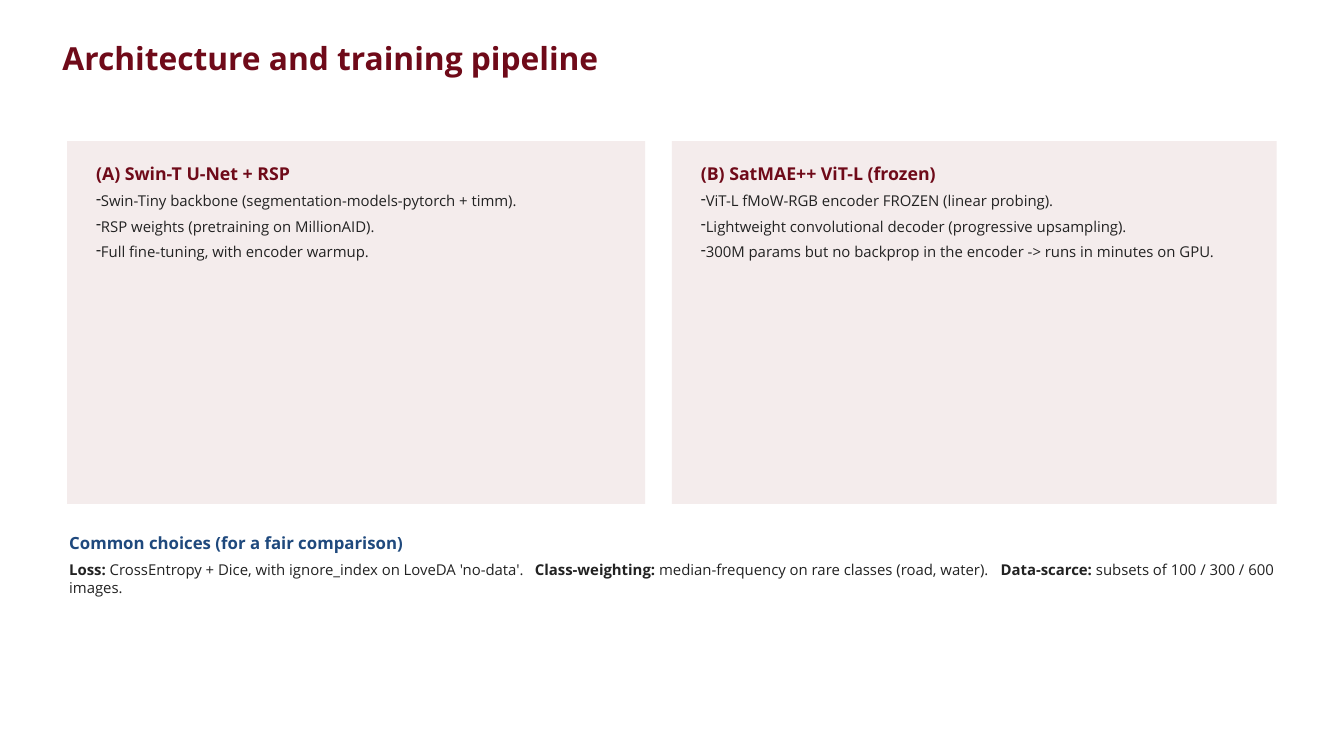
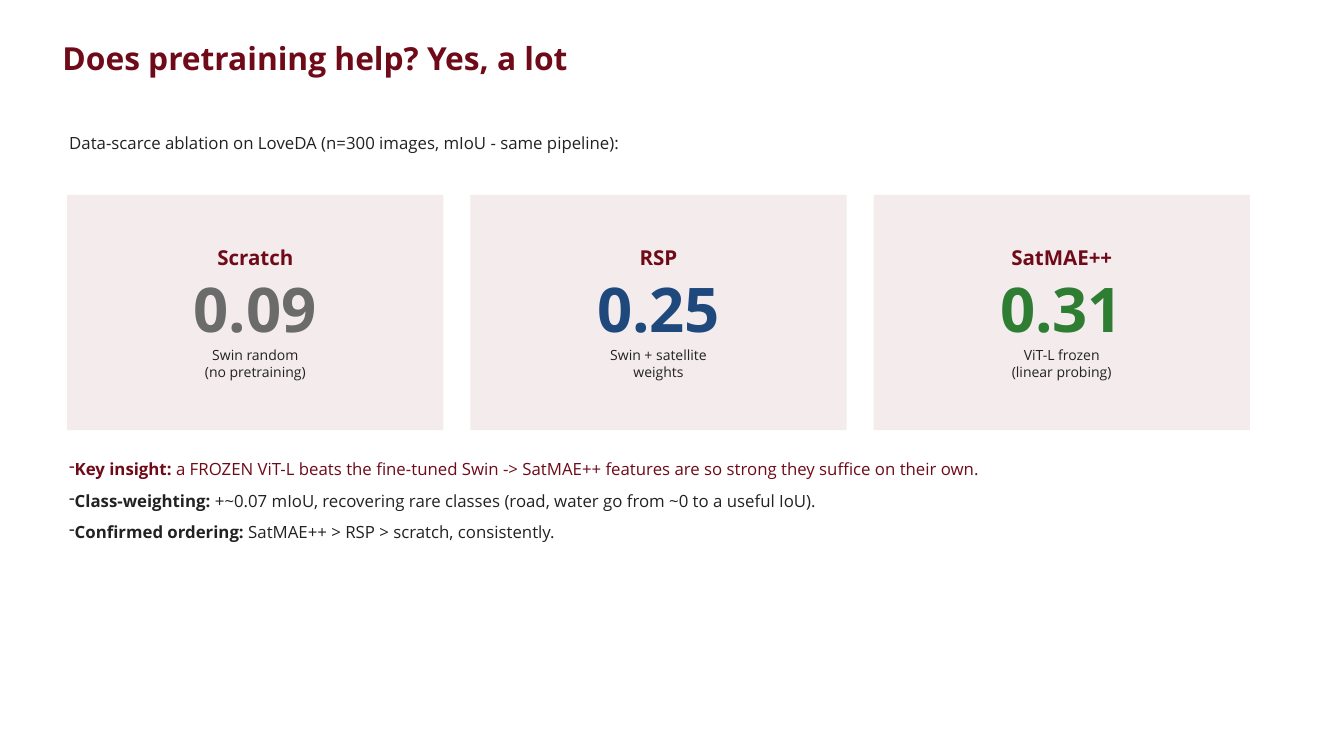
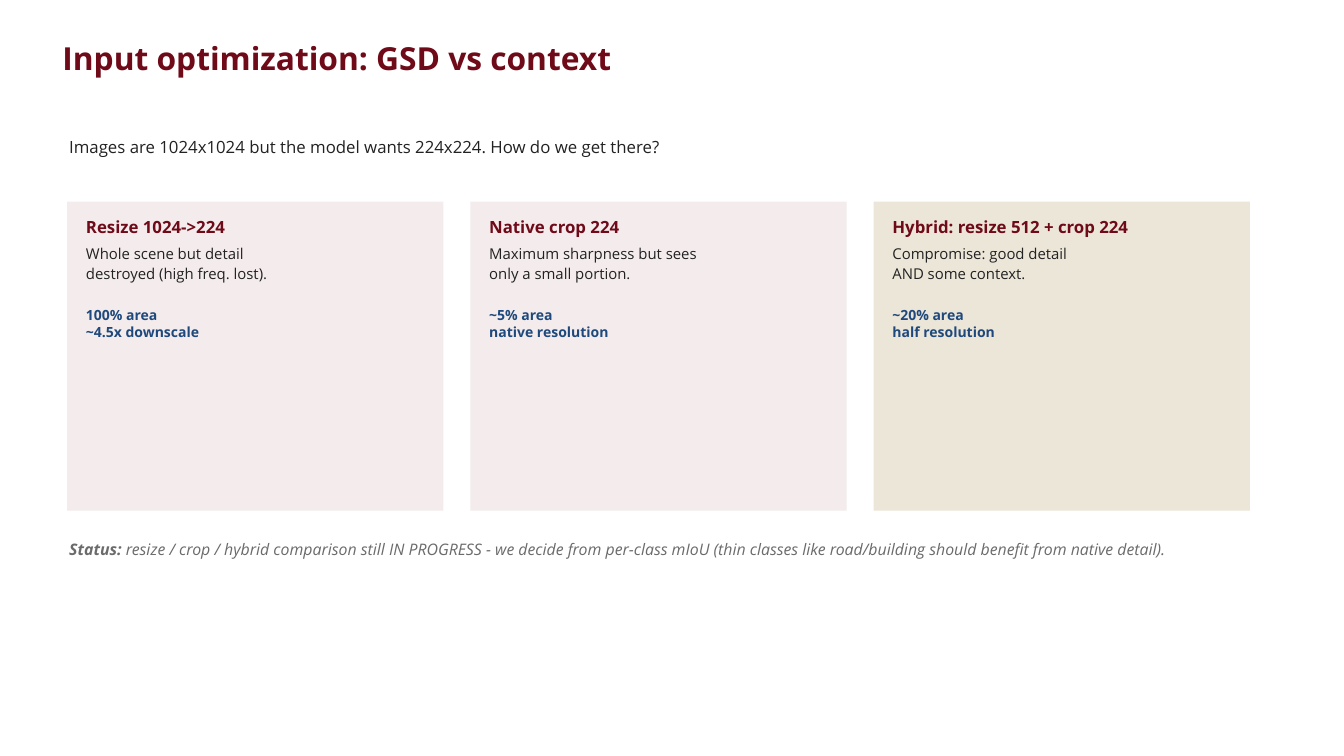
"""Build three slides on pretrained encoders for land-cover segmentation."""
from lxml import etree
from pptx import Presentation
from pptx.dml.color import RGBColor
from pptx.enum.shapes import MSO_SHAPE
from pptx.enum.text import MSO_ANCHOR, MSO_AUTO_SIZE, PP_ALIGN
from pptx.oxml.ns import qn
from pptx.util import Pt

PX = 9144
FONT = "Open Sans"
WINE = RGBColor(0x6F, 0x0A, 0x19)
BLUE = RGBColor(0x1F, 0x49, 0x7D)
GREEN = RGBColor(0x2E, 0x7D, 0x32)
GREY = RGBColor(0x6B, 0x6B, 0x6B)
INK = RGBColor(0x22, 0x22, 0x22)
ROSE = RGBColor(0xF4, 0xEC, 0xEC)
SAND = RGBColor(0xEC, 0xE6, 0xD9)
RECT = MSO_SHAPE.RECTANGLE
MIDDLE, TOP = MSO_ANCHOR.MIDDLE, MSO_ANCHOR.TOP
LEFT, CENTER = PP_ALIGN.LEFT, PP_ALIGN.CENTER
GROW = MSO_AUTO_SIZE.SHAPE_TO_FIT_TEXT
LEFTS = (100, 700, 1300)


def box(slide, x, y, w, h, fill=None, anchor=TOP):
    area = [n * PX for n in (x, y, w, h)]
    if fill is not None:
        card = slide.shapes.add_shape(RECT, *area)
        card.shadow.inherit = False
        card.fill.solid()
        card.fill.fore_color.rgb = fill
        card.line.fill.background()
        return card
    frame = slide.shapes.add_textbox(*area).text_frame
    frame.word_wrap = True
    frame.auto_size = GROW
    frame.vertical_anchor = anchor
    frame.margin_left = frame.margin_right = 3 * PX
    frame.margin_top = frame.margin_bottom = 3 * PX
    return frame


def write(frame, text, size=16, color=INK, bold=False, italic=False,
          after=0, align=LEFT, dash=False, tabs=()):
    """Add a paragraph; parts between bars are bold."""
    para = frame.paragraphs[0]
    if para.runs:
        para = frame.add_paragraph()
    props = para._p.get_or_add_pPr()
    if dash:
        etree.SubElement(props, qn("a:buChar"), char="-")
    if tabs:
        stops = etree.SubElement(props, qn("a:tabLst"))
        for stop in tabs:
            etree.SubElement(stops, qn("a:tab"), pos=str(stop * PX), algn="l")
    para.alignment = align
    para.space_after = Pt(after)
    for i, part in enumerate(text.split("|")):
        if part:
            run = para.add_run()
            run.text = part
            font = run.font
            font.name, font.size = FONT, Pt(size)
            font.bold, font.italic = bold or i % 2 == 1, italic
            font.color.rgb = color


deck = Presentation()
deck.slide_width, deck.slide_height = 2000 * PX, 1125 * PX
slides = []
for title in ("Architecture and training pipeline",
              "Does pretraining help? Yes, a lot",
              "Input optimization: GSD vs context"):
    slide = deck.slides.add_slide(deck.slide_layouts[6])
    write(box(slide, 90, 55, 1820, 130), title, size=34, color=WINE, bold=True)
    slides.append(slide)
design, result, inputs = slides

models = (
    (100, 860, 790, "(A) Swin-T U-Net + RSP",
     ("Swin-Tiny backbone (segmentation-models-pytorch + timm).",
      "RSP weights (pretraining on MillionAID).",
      "Full fine-tuning, with encoder warmup.")),
    (1000, 900, 830, "(B) SatMAE++ ViT-L (frozen)",
     ("ViT-L fMoW-RGB encoder FROZEN (linear probing).",
      "Lightweight convolutional decoder (progressive upsampling).",
      "300M params but no backprop in the encoder -> runs in minutes on GPU.")),
)
for x, wide, inner, name, points in models:
    box(design, x, 210, wide, 540, fill=ROSE)
    frame = box(design, x + 40, 240, inner, 490)
    write(frame, name, size=19, color=WINE, bold=True, after=8)
    for point in points:
        write(frame, point, after=8, dash=True)
frame = box(design, 100, 790, 1800, 260)
write(frame, "Common choices (for a fair comparison)",
      size=18, color=BLUE, bold=True, after=8)
write(frame, "|Loss: |CrossEntropy + Dice, with ignore_index on LoveDA 'no-data'.\t"
      "|Class-weighting: |median-frequency on rare classes (road, water).\t"
      "|Data-scarce: |subsets of 100 / 300 / 600 images.", tabs=(693, 1386))

write(box(result, 100, 195, 1800, 70),
      "Data-scarce ablation on LoveDA (n=300 images, mIoU - same pipeline):", size=18)
scores = (
    ("Scratch", "0.09", GREY, ("Swin random", "(no pretraining)")),
    ("RSP", "0.25", BLUE, ("Swin + satellite", "weights")),
    ("SatMAE++", "0.31", GREEN, ("ViT-L frozen", "(linear probing)")),
)
for x, (name, score, color, notes) in zip(LEFTS, scores):
    box(result, x, 290, 560, 350, fill=ROSE)
    frame = box(result, x + 20, 305, 520, 320, anchor=MIDDLE)
    write(frame, name, size=22, color=WINE, bold=True, after=2, align=CENTER)
    write(frame, score, size=66, color=color, bold=True, after=2, align=CENTER)
    for note in notes:
        write(frame, note, size=15, align=CENTER)
frame = box(result, 100, 680, 1800, 360)
for text, color in (
    ("|Key insight: |a FROZEN ViT-L beats the fine-tuned Swin -> "
     "SatMAE++ features are so strong they suffice on their own.", WINE),
    ("|Class-weighting: |+~0.07 mIoU, recovering rare classes "
     "(road, water go from ~0 to a useful IoU).", INK),
    ("|Confirmed ordering: |SatMAE++ > RSP > scratch, consistently.", INK),
):
    write(frame, text, size=18, color=color, after=12, dash=True)

write(box(inputs, 100, 200, 1800, 70),
      "Images are 1024x1024 but the model wants 224x224. How do we get there?", size=18)
crops = (
    (ROSE, "Resize 1024->224", "Whole scene but detail",
     "destroyed (high freq. lost).", ("100% area", "~4.5x downscale")),
    (ROSE, "Native crop 224", "Maximum sharpness but sees",
     "only a small portion.", ("~5% area", "native resolution")),
    (SAND, "Hybrid: resize 512 + crop 224", "Compromise: good detail",
     "AND some context.", ("~20% area", "half resolution")),
)
for x, (fill, name, first, second, facts) in zip(LEFTS, crops):
    box(inputs, x, 300, 560, 460, fill=fill)
    frame = box(inputs, x + 25, 320, 510, 420)
    write(frame, name, size=18, color=WINE, bold=True, after=8)
    write(frame, first, after=2)
    write(frame, second, after=26)
    for fact in facts:
        write(frame, fact, size=15, color=BLUE, bold=True)
write(box(inputs, 100, 800, 1800, 200),
      "|Status: |resize / crop / hybrid comparison still IN PROGRESS - we decide from "
      "per-class mIoU (thin classes like road/building should benefit from native detail).",
      size=17, color=GREY, italic=True)

deck.save("out.pptx")
